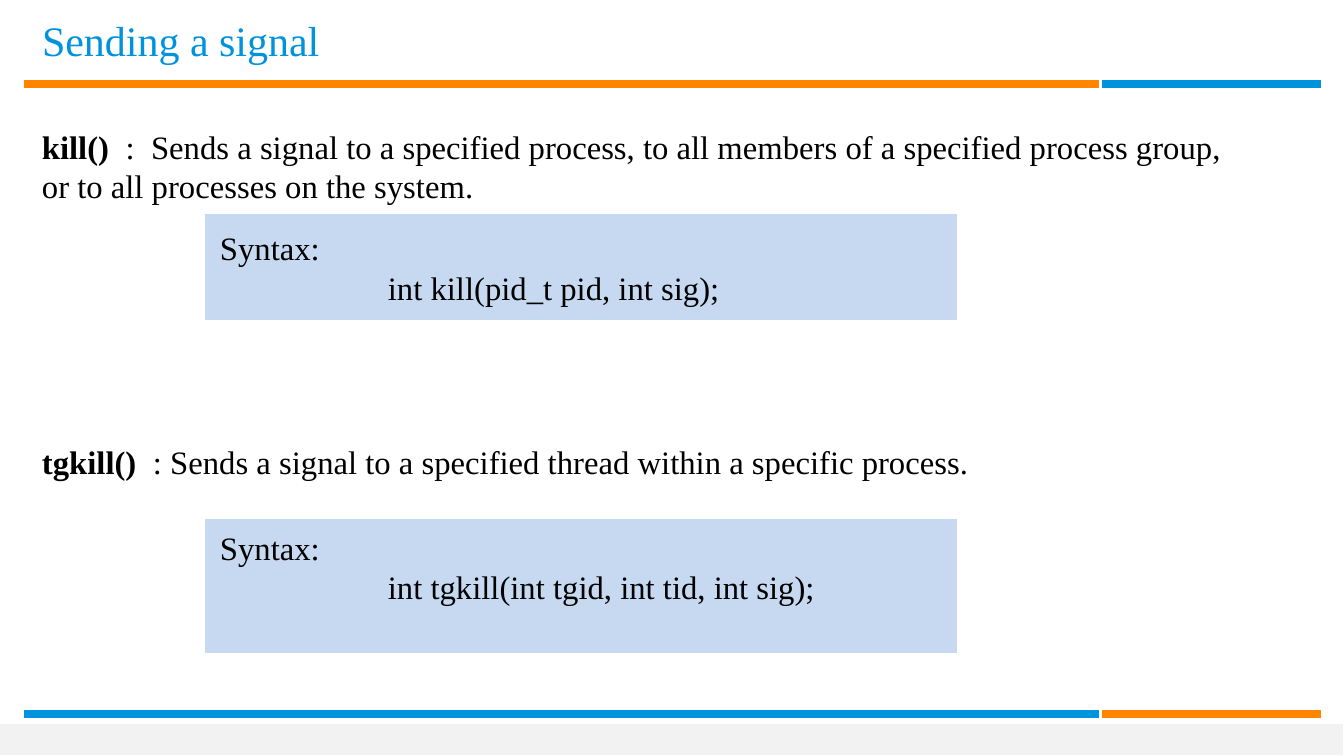
from lxml.etree import SubElement
from pptx import Presentation
from pptx.dml.color import RGBColor
from pptx.enum.shapes import MSO_CONNECTOR as Connector, MSO_SHAPE as Shape
from pptx.enum.text import MSO_ANCHOR as Anchor, MSO_AUTO_SIZE as AutoSize, PP_ALIGN as Align
from pptx.oxml.ns import qn
from pptx.util import Emu, Pt

FONT = "Times New Roman"
BLUE, ORANGE, BLACK, WHITE = "0093DD", "FF8500", "000000", "FFFFFF"
PALE_BLUE, PALE_GREY = "C6D9F1", "F2F2F2"


def px(*lengths):
    """Turn px (168 to the inch) into EMU."""
    return [Emu(round(length * 914400 / 168)) for length in lengths]


def color(hex_string):
    return RGBColor.from_string(hex_string)


def add_run(paragraph, text, size=14, hue=BLACK, bold=False):
    run = paragraph.add_run()
    run.text = text
    run.font.name, run.font.size, run.font.bold = FONT, Pt(size), bold
    run.font.color.rgb = color(hue)


def set_frame(frame, insets, anchor):
    frame.word_wrap = True
    frame.auto_size = AutoSize.NONE
    frame.vertical_anchor = anchor
    (frame.margin_left, frame.margin_top,
     frame.margin_right, frame.margin_bottom) = px(*insets)


def add_panel(slide, box, fill):
    panel = slide.shapes.add_shape(Shape.RECTANGLE, *px(*box))
    panel.shadow.inherit = False
    panel.fill.solid()
    panel.fill.fore_color.rgb = color(fill)
    panel.line.fill.background()
    return panel


def add_rule(slide, box, hues):
    """Draw a long and a short bar, with a small gap, along one line."""
    left, y, width = box
    long_end, short_start = left + 1075, left + 1078
    spans = [(left, long_end), (short_start, left + width)]
    for (start, end), hue in zip(spans, hues):
        bar = slide.shapes.add_connector(Connector.STRAIGHT, *px(start, y, end, y))
        bar.line.color.rgb = color(hue)
        bar.line.width = Pt(3)
        SubElement(bar._element.spPr, qn("a:effectLst"))


def add_title(slide, box, text):
    title = slide.shapes.title
    title.left, title.top, title.width, title.height = px(*box)
    # The bottom inset lifts the line above the middle of its box
    set_frame(title.text_frame, (0, 0, 0, 45), Anchor.MIDDLE)
    heading = title.text_frame.paragraphs[0]
    heading.alignment = Align.LEFT
    add_run(heading, text, size=18, hue=BLUE)


def add_description(slide, box, call, meaning):
    frame = slide.shapes.add_textbox(*px(*box)).text_frame
    set_frame(frame, (0, 0, 0, 0), Anchor.TOP)
    sentence = frame.paragraphs[0]
    add_run(sentence, call, bold=True)
    add_run(sentence, meaning)


def add_syntax(slide, box, prototype, space_below):
    panel = add_panel(slide, box, PALE_BLUE)
    panel.line.color.rgb = color(WHITE)
    panel.line.width = Pt(2)
    frame = panel.text_frame
    set_frame(frame, (17, 8, 17, 8 + space_below), Anchor.MIDDLE)
    label, code = frame.paragraphs[0], frame.add_paragraph()
    label.alignment = code.alignment = Align.LEFT
    add_run(label, "Syntax:")
    # Indent the prototype by one inch
    code._p.get_or_add_pPr().set("marL", str(px(168)[0]))
    add_run(code, prototype)


def add_entry(slide, box, call, meaning, syntax_gap, syntax_height, prototype, space_below=0):
    """Describe one call, with its syntax panel below."""
    left, top, width, height = box
    add_description(slide, box, call, meaning)
    add_syntax(slide, (left + 161, top + syntax_gap, 756, syntax_height),
               prototype, space_below)


def main():
    deck = Presentation()
    deck.slide_width, deck.slide_height = px(1344, 756)
    slide = deck.slides.add_slide(deck.slide_layouts[5])

    # Footer band and rules
    add_panel(slide, (0, 724, 1343, 31), PALE_GREY)
    add_rule(slide, (24, 84, 1297), (ORANGE, BLUE))
    add_rule(slide, (24, 714, 1297), (BLUE, ORANGE))

    # Title and the two calls
    add_title(slide, (42, 28, 1235, 69), "Sending a signal")
    add_entry(slide, (42, 127, 1210, 80), "kill()  ",
              ":  Sends a signal to a specified process, to all members of a "
              "specified process group, or to all processes on the system.",
              85, 111, "int kill(pid_t pid, int sig);")
    add_entry(slide, (42, 442, 1210, 42), "tgkill()  ",
              ": Sends a signal to a specified thread within a specific process.",
              75, 138, "int tgkill(int tgid, int tid, int sig);", space_below=38)

    deck.save("out.pptx")


if __name__ == "__main__":
    main()
